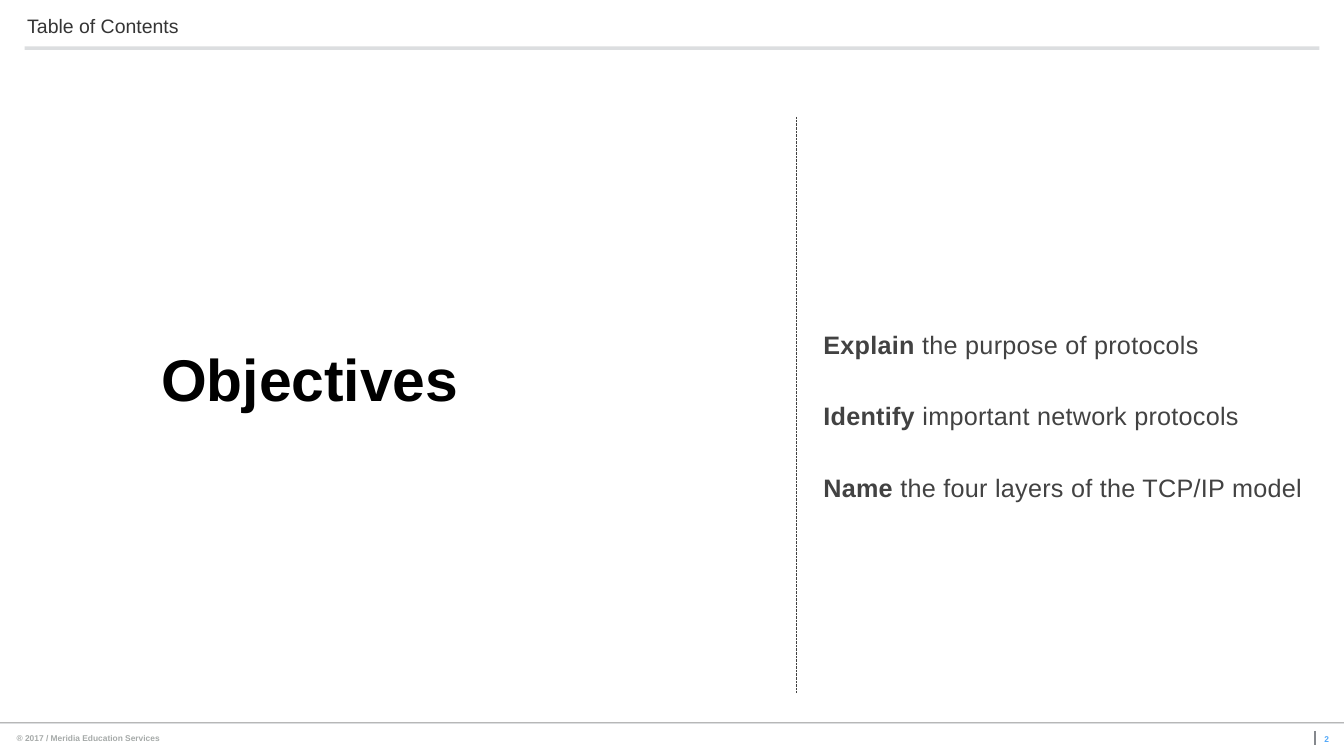
from lxml.etree import SubElement
from pptx import Presentation
from pptx.dml.color import RGBColor
from pptx.enum.shapes import MSO_CONNECTOR, MSO_SHAPE
from pptx.enum.text import MSO_ANCHOR, MSO_AUTO_SIZE, PP_ALIGN
from pptx.oxml.ns import qn
from pptx.util import Inches, Pt

HEADER = "Table of Contents"
TITLE = "Objectives"
OBJECTIVES = [
    ("Explain", " the purpose of protocols"),
    ("Identify ", "important network protocols"),
    ("Name ", "the four layers of the TCP/IP model"),
]
FOOTER = "® 2017 / Meridia Education Services"
PAGE_NUMBER = "2"

THEME = {
    "font": "Arial",
    "inset": Inches(0.06),
    "ink": "353535",
    "rule": "DCDEE0",
    "tick": "85888D",
    "divider": "424242",
    "header": {"size": 27.8, "color": "353535", "bold": False},
    "title": {"size": 84, "color": "000000", "bold": True},
    "verb": {"size": 36, "color": "424242", "bold": True, "spacing": 40},
    "goal": {"size": 36, "color": "424242", "bold": False, "spacing": 40},
    "footer": {"size": 12, "color": "A6AAA9", "bold": True},
    "number": {"size": 12, "color": "51A8F9", "bold": True},
}

PLACES = {
    "header": (1.8, 1.4, 12.64, 4.07),
    "header_bar": (1.84, 6.13, 96.33, 0.47),
    "title": (11.77, 44.93, 22.76, 10.2),
    "objectives": (61.04, 43.13, 38.96, 23.87),
    "divider": (59.25, 15.47, 59.25, 91.6),
    "footer_bar": (0, 95.6, 100, 0.07),
    "footer_line": (0, 95.73, 100, 95.73),
    "footer": (1.01, 96.6, 20, 2.07),
    "tick": (97.83, 96.67, 97.83, 98.6),
    "number": (98.31, 96.67, 0.82, 2.07),
}

deck = Presentation()
deck.slide_width, deck.slide_height = Inches(26.67), Inches(15)
page = deck.slides.add_slide(deck.slide_layouts[6])


def place(name):
    sides = (deck.slide_width, deck.slide_height) * 2
    return [round(side * share / 100) for side, share in zip(sides, PLACES[name])]


def add_text(name, paragraphs, wrap=False, paragraph_format=None, **frame_format):
    frame = page.shapes.add_textbox(*place(name)).text_frame
    settings = {f"margin_{side}": THEME["inset"] for side in ("left", "top", "right", "bottom")}
    settings |= {"word_wrap": wrap, "auto_size": MSO_AUTO_SIZE.SHAPE_TO_FIT_TEXT, **frame_format}
    for key, value in settings.items():
        setattr(frame, key, value)
    for index, spans in enumerate(paragraphs):
        para = frame.add_paragraph() if index else frame.paragraphs[0]
        for key, value in (paragraph_format or {}).items():
            setattr(para, key, value)
        for text, style_name in spans:
            style = THEME[style_name]
            span = para.add_run()
            span.text = text
            font_format = {"name": THEME["font"], "size": Pt(style["size"]), "bold": style["bold"]}
            for key, value in font_format.items():
                setattr(span.font, key, value)
            span.font.color.rgb = RGBColor.from_string(style["color"])
            if "spacing" in style:
                span._r.get_or_add_rPr().set("spc", str(style["spacing"]))


def add_bar(name, color):
    bar = page.shapes.add_shape(MSO_SHAPE.RECTANGLE, *place(name))
    bar.shadow.inherit = False
    bar.fill.solid()
    bar.fill.fore_color.rgb = RGBColor.from_string(color)
    bar.line.fill.background()


def add_line(name, color, width, dotted=False):
    connector = page.shapes.add_connector(MSO_CONNECTOR.STRAIGHT, *place(name))
    connector.line.color.rgb = RGBColor.from_string(color)
    connector.line.width = Pt(width)
    properties = connector._element.spPr
    if dotted:
        dashes = SubElement(properties.find(qn("a:ln")), qn("a:custDash"))
        SubElement(dashes, qn("a:ds"), d="100000", sp="100000")
    SubElement(properties, qn("a:effectLst"))


add_text("number", [[(PAGE_NUMBER, "number")]], paragraph_format={"alignment": PP_ALIGN.CENTER})
add_line("tick", THEME["tick"], 2)
add_text("footer", [[(FOOTER, "footer")]], wrap=True)
add_bar("footer_bar", THEME["ink"])
add_line("footer_line", THEME["rule"], 1)
add_text("title", [[(TITLE, "title")]], vertical_anchor=MSO_ANCHOR.MIDDLE)
add_text(
    "objectives",
    [[(verb, "verb"), (goal, "goal")] for verb, goal in OBJECTIVES],
    wrap=True,
    paragraph_format={"space_before": Pt(59)},
)
add_line("divider", THEME["divider"], 1, dotted=True)
add_bar("header_bar", THEME["rule"])
add_text("header", [[(HEADER, "header")]])

deck.save("out.pptx")
